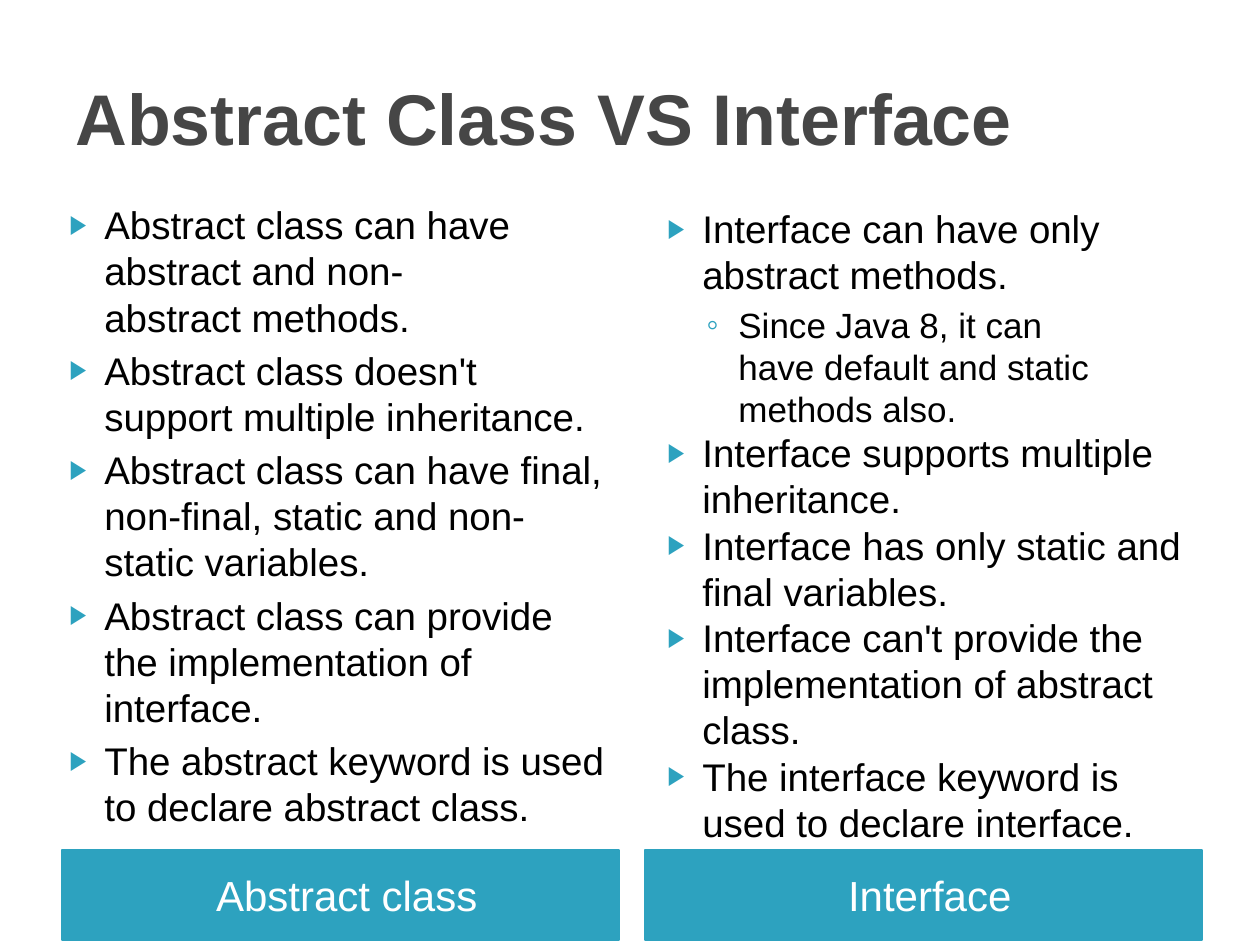
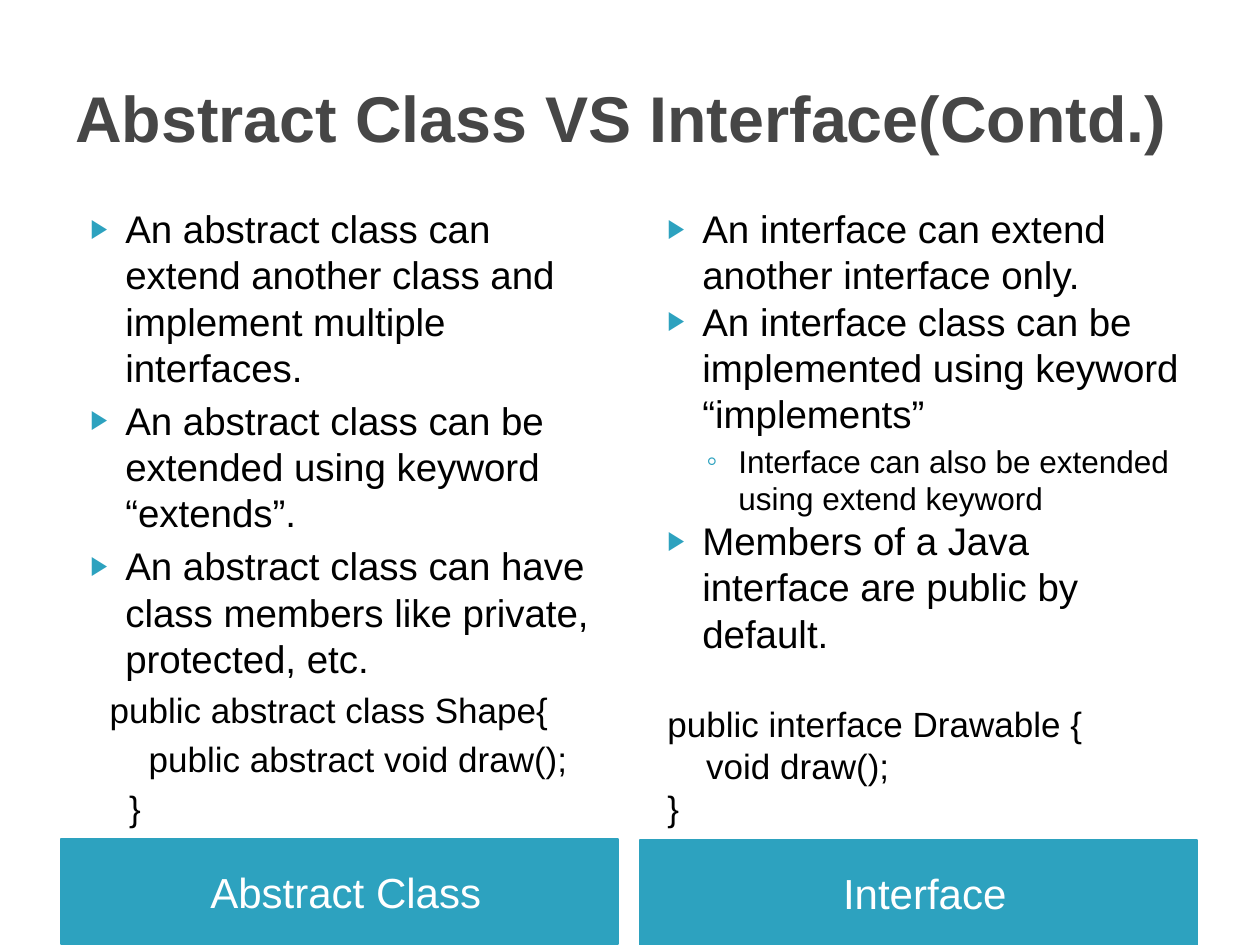
import pptx
import pptx.util
import pptx.dml.color
import pptx.enum.shapes
import pptx.enum.text
import pptx.oxml
import pptx.oxml.ns

# Content: (style, text) per paragraph; boxes are left, top, width, height in px.
# A "~" in a text stands for a space at which the line may not break.
SLIDES = [
    {
        "title": ("Abstract Class VS Interface", 41),
        "columns": [
            {
                "box": (42, 195, 578, 634), "gap": 4,
                "items": [
                    ("point", "Abstract class can~have abstract and non-abstract~methods."),
                    ("point", "Abstract class~doesn't support multiple inheritance."),
                    ("point", "Abstract class~can have final, non-final, static and non-static variables."),
                    ("point", "Abstract class~can provide the implementation of interface."),
                    ("point", "The~abstract keyword~is used to declare abstract class."),
                ],
                "band": ("Abstract class", (62, 850, 557, 90)),
            },
            {
                "box": (640, 199, 557, 651), "gap": 0,
                "items": [
                    ("point", "Interface can have~only abstract~methods."),
                    ("detail", "Since Java 8, it can have~default and static methods~also."),
                    ("point", "Interface~supports multiple inheritance."),
                    ("point", "Interface has~only static and final variables."),
                    ("point", "Interface can't provide the implementation of abstract class."),
                    ("point", "The interface keyword is used to declare interface."),
                ],
                "band": ("Interface", (645, 850, 557, 90)),
            },
        ],
    },
    {
        "title": ("Abstract Class VS Interface(Contd.)", 36.9),
        "columns": [
            {
                "box": (63, 199, 557, 543), "gap": 4,
                "items": [
                    ("point", "An abstract class can extend another class and implement multiple interfaces."),
                    ("point", "An abstract class can be extended using keyword “extends”."),
                    ("point", "An abstract class can have class members like private, protected, etc."),
                    ("code", "  public abstract class Shape{"),
                    ("code", "      public abstract void draw();"),
                    ("code", "    }"),
                ],
                "band": ("Abstract Class", (61, 839, 557, 105)),
            },
            {
                "box": (640, 199, 557, 543), "gap": 0,
                "items": [
                    ("point", "An~interface~can extend another interface only."),
                    ("point", "An interface class can be implemented using keyword “implements”"),
                    ("small detail", "Interface can also be extended using extend keyword"),
                    ("point", "Members of a Java interface are public by default."),
                    ("code start", "public interface Drawable {"),
                    ("code", "    void draw();"),
                    ("code", "}"),
                ],
                "band": ("Interface", (640, 840, 557, 105)),
            },
        ],
    },
]

# Shared look
FONT = "Arial"
TEAL, GREY, BLACK, WHITE = "2DA2BF", "464646", "000000", "FFFFFF"
TITLE_BOX = (63, 38, 1134, 158)
# Margin and indent in px; "before" overrides the gap of the column
STYLES = {
    "point": {"size": 22, "margin": 50, "indent": -35, "bullet": "▶", "scale": 68},
    "detail": {"size": 20, "margin": 86, "indent": -32, "bullet": "◦", "before": 3.2},
    "code": {"size": 20, "margin": 15, "indent": 0},
}
STYLES["small detail"] = {**STYLES["detail"], "size": 18}
STYLES["code start"] = {**STYLES["code"], "before": 26.5}

EMU_PER_PX = 914400 / 126
FIXED_SPACE = chr(160)


def px(length):
    return pptx.util.Emu(round(length * EMU_PER_PX))


def color(value):
    return pptx.dml.color.RGBColor.from_string(value)


def set_font(font, **values):
    for name, value in {"name": FONT, **values}.items():
        if name == "color":
            font.color.rgb = color(value)
        elif name == "size":
            font.size = pptx.util.Pt(value)
        else:
            setattr(font, name, value)


def add_span(para, text, **values):
    span = para.add_run()
    span.text = text.replace("~", FIXED_SPACE)
    set_font(span.font, **values)


def add_text_box(page, place):
    box = page.shapes.add_textbox(*map(px, place))
    box.text_frame.word_wrap = True
    return box.text_frame


def add_title(page, text, size):
    frame = add_text_box(page, TITLE_BOX)
    frame.vertical_anchor = pptx.enum.text.MSO_ANCHOR.MIDDLE
    add_span(frame.paragraphs[0], text, size=size, color=GREY, bold=True)


def add_band(page, text, place):
    band = page.shapes.add_shape(pptx.enum.shapes.MSO_SHAPE.RECTANGLE, *map(px, place))
    band.shadow.inherit = False
    band.fill.solid()
    band.fill.fore_color.rgb = color(TEAL)
    band.line.color.rgb = color(TEAL)
    band.line.width = pptx.util.Pt(0.75)
    frame = band.text_frame
    frame.word_wrap = True
    frame.margin_left = px(25)
    frame.vertical_anchor = pptx.enum.text.MSO_ANCHOR.MIDDLE
    para = frame.paragraphs[0]
    para.alignment = pptx.enum.text.PP_ALIGN.CENTER
    add_span(para, text, size=24, color=WHITE)


def set_bullet(para, style):
    props = para._p.get_or_add_pPr()
    props.set("marL", str(px(style["margin"])))
    props.set("indent", str(px(style["indent"])))
    if "bullet" not in style:
        parts = ["<a:buNone {}/>"]
    else:
        parts = [
            f'<a:buClr {{}}><a:srgbClr val="{TEAL}"/></a:buClr>',
            f'<a:buSzPct {{}} val="{style.get("scale", 100) * 1000}"/>',
            f'<a:buFont {{}} typeface="{FONT}"/>',
            f'<a:buChar {{}} char="{style["bullet"]}"/>',
        ]
    for part in parts:
        props.append(pptx.oxml.parse_xml(part.format(pptx.oxml.ns.nsdecls("a"))))


def add_list(page, place, items, gap):
    frame = add_text_box(page, place)
    for index, (style_name, text) in enumerate(items):
        style = STYLES[style_name]
        para = frame.add_paragraph() if index else frame.paragraphs[0]
        set_bullet(para, style)
        if index:
            para.space_before = pptx.util.Pt(style.get("before", gap))
        add_span(para, text, size=style["size"], color=BLACK)


def main():
    deck = pptx.Presentation()
    deck.slide_width, deck.slide_height = px(1260), px(945)
    for content in SLIDES:
        page = deck.slides.add_slide(deck.slide_layouts[6])
        add_title(page, *content["title"])
        for column in content["columns"]:
            add_band(page, *column["band"])
        for column in content["columns"]:
            add_list(page, column["box"], column["items"], column["gap"])
    deck.save("out.pptx")


if __name__ == "__main__":
    main()
